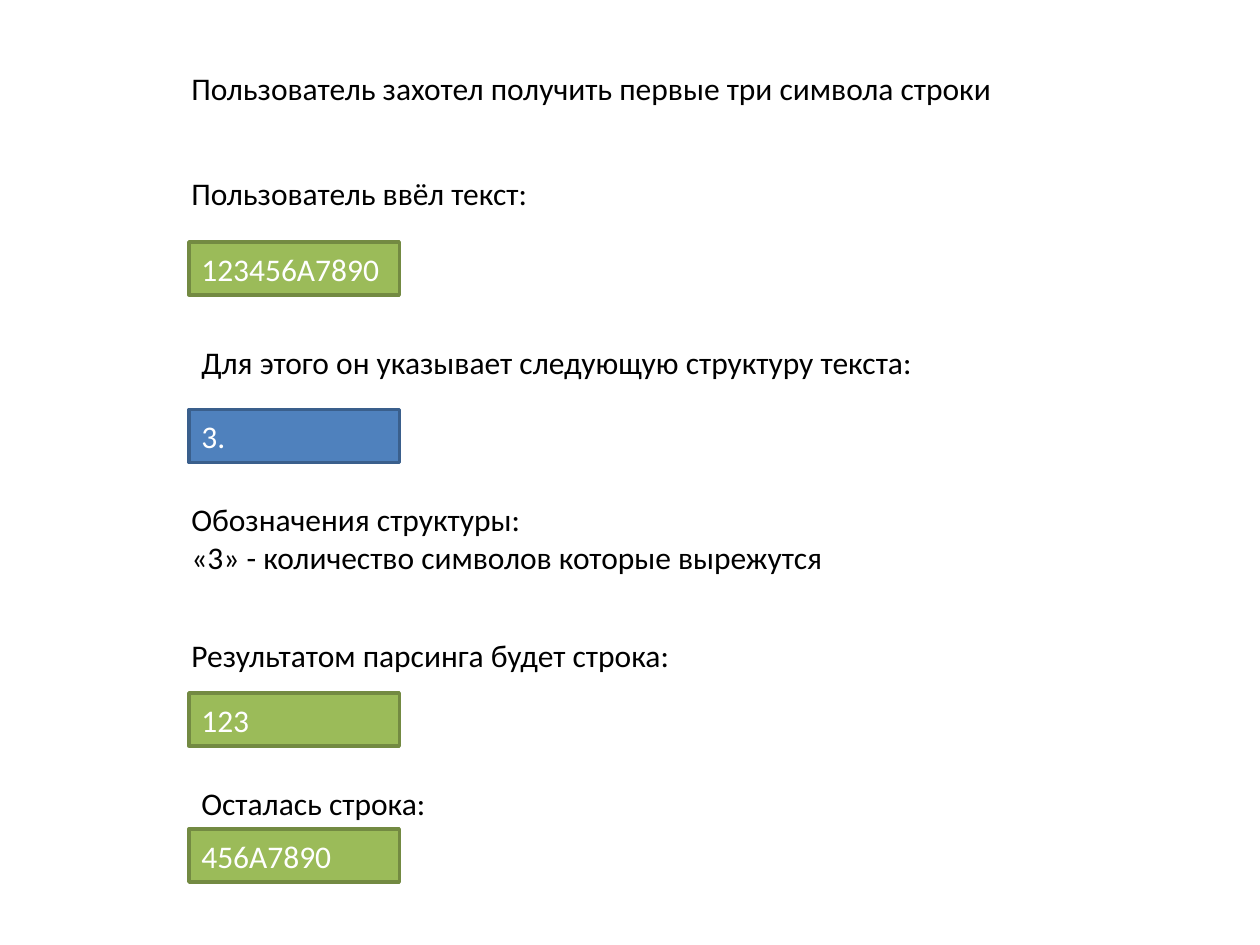
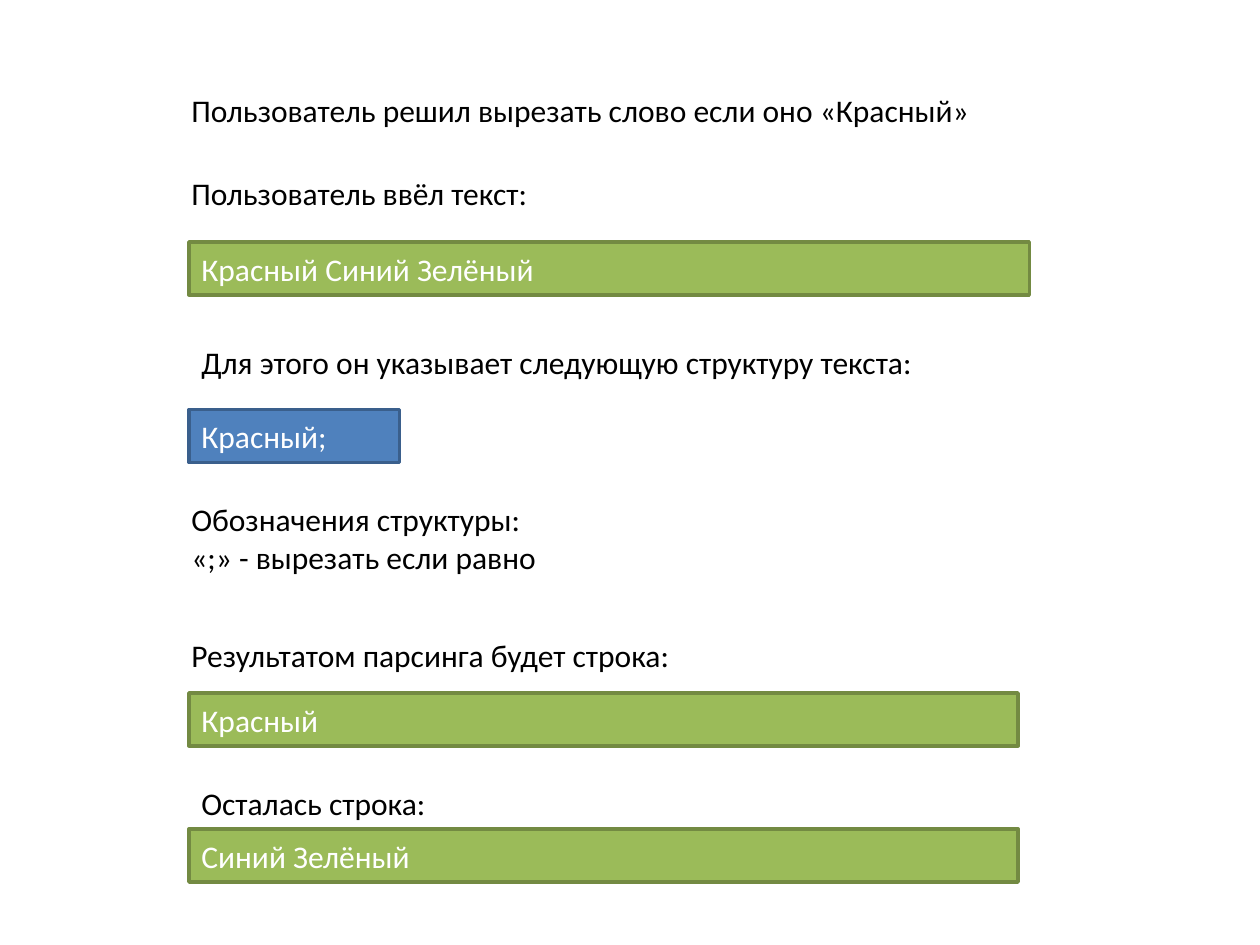
from pptx import Presentation
from pptx.dml.color import RGBColor
from pptx.enum.shapes import MSO_SHAPE
from pptx.enum.text import MSO_ANCHOR, MSO_AUTO_SIZE, PP_ALIGN
from pptx.util import Inches, Pt

COLORS = {
    "text": "000000",
    "field text": "FFFFFF",
    "string": "9BBB59",
    "string border": "738A42",
    "structure": "4F81BD",
    "structure border": "3A5F8C",
}
MARGIN = 1.42
INDENT = 1.5
FIELD_HEIGHT = 0.42
SHORT_FIELD = 1.67


def write(frame, lines, color):
    """Fill a text frame with left-aligned paragraphs in the common font."""
    frame.text = "\n".join(lines)
    for paragraph in frame.paragraphs:
        paragraph.alignment = PP_ALIGN.LEFT
        paragraph.font.name = "Calibri"
        paragraph.font.size = Pt(18)
        paragraph.font.color.rgb = RGBColor.from_string(COLORS[color])


# Each example: heading with its top and width, legend with its width,
# then the strings with the widths of their fields.
examples = [
    {
        "heading": ("Пользователь захотел получить первые три символа строки", 0.5, 6.63),
        "legend": ("«3» - количество символов которые вырежутся", 5.27),
        "input": ("123456A7890", SHORT_FIELD),
        "structure": "3.",
        "result": ("123", SHORT_FIELD),
        "rest": ("456A7890", SHORT_FIELD),
    },
    {
        "heading": ("Пользователь решил вырезать слово если оно «Красный»", 0.67, 6.45),
        "legend": ("«;» - вырезать если равно", 2.97),
        "input": ("Красный Синий Зелёный", 6.67),
        "structure": "Красный;",
        "result": ("Красный", 6.58),
        "rest": ("Синий Зелёный", 6.58),
    },
]

presentation = Presentation()
presentation.slide_width = Inches(10)
presentation.slide_height = Inches(7.5)
blank_layout = presentation.slide_layouts[6]

for example in examples:
    slide = presentation.slides.add_slide(blank_layout)
    heading, heading_top, heading_width = example["heading"]
    legend, legend_width = example["legend"]

    captions = [
        ([heading], MARGIN, heading_top, heading_width),
        (["Пользователь ввёл текст:"], MARGIN, 1.33, 2.9),
        (["Для этого он указывает следующую структуру текста:"], INDENT, 2.67, 5.91),
        (["Обозначения структуры:", legend], MARGIN, 3.92, legend_width),
        (["Результатом парсинга будет строка:"], MARGIN, 5, 4.04),
        (["Осталась строка:"], INDENT, 6.17, 2),
    ]
    for lines, left, top, width in captions:
        height = 0.4 if len(lines) == 1 else 0.71
        caption = slide.shapes.add_textbox(
            Inches(left), Inches(top), Inches(width), Inches(height))
        caption.text_frame.word_wrap = False
        caption.text_frame.auto_size = MSO_AUTO_SIZE.SHAPE_TO_FIT_TEXT
        write(caption.text_frame, lines, "text")

    fields = [
        (*example["input"], 1.92, "string"),
        (example["structure"], SHORT_FIELD, 3.25, "structure"),
        (*example["result"], 5.5, "string"),
        (*example["rest"], 6.58, "string"),
    ]
    for content, width, top, role in fields:
        field = slide.shapes.add_shape(
            MSO_SHAPE.RECTANGLE,
            Inches(INDENT), Inches(top), Inches(width), Inches(FIELD_HEIGHT))
        field.shadow.inherit = False
        field.fill.solid()
        field.fill.fore_color.rgb = RGBColor.from_string(COLORS[role])
        field.line.color.rgb = RGBColor.from_string(COLORS[f"{role} border"])
        field.line.width = Pt(2)
        field.text_frame.word_wrap = True
        field.text_frame.vertical_anchor = MSO_ANCHOR.MIDDLE
        write(field.text_frame, [content], "field text")

presentation.save("out.pptx")
